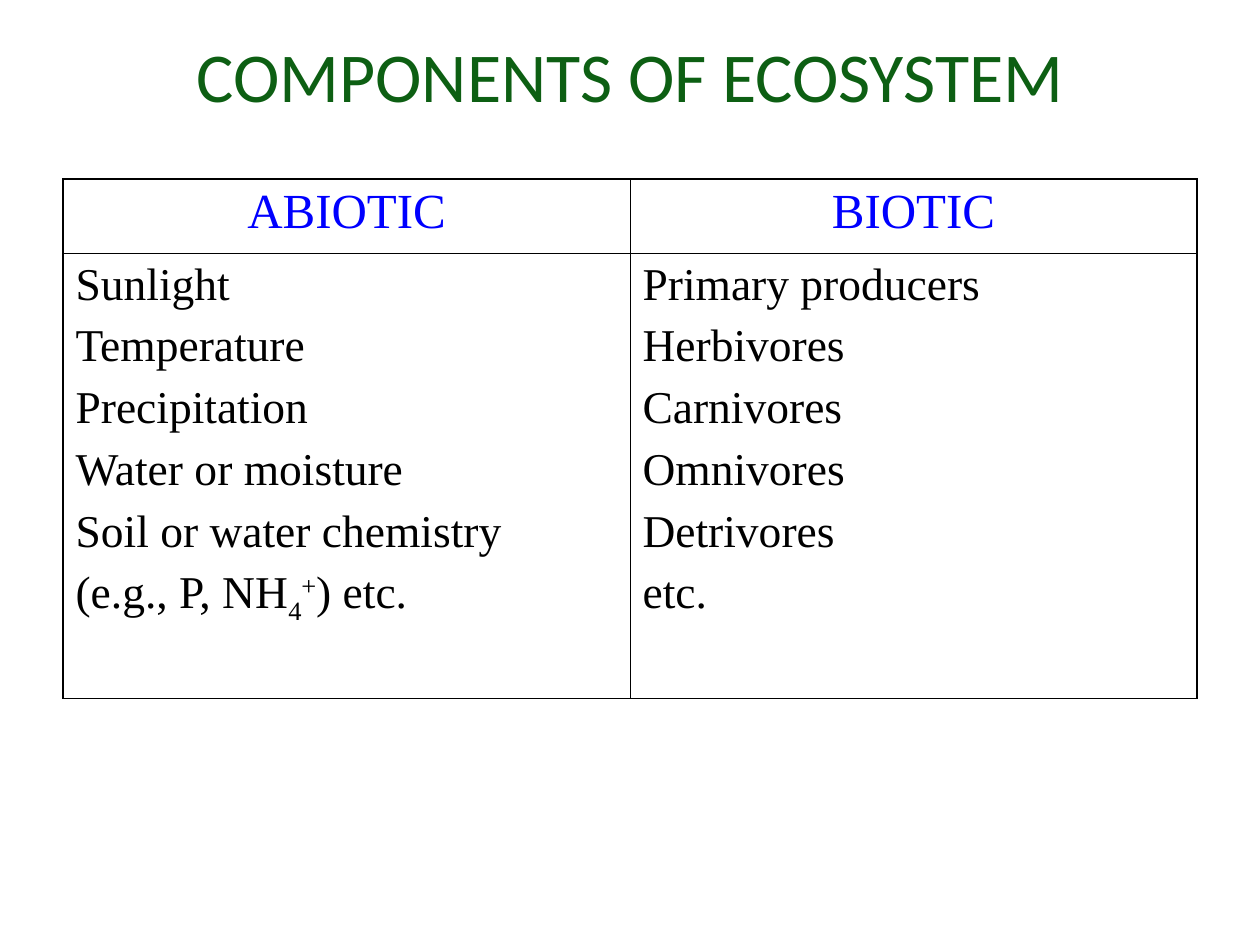
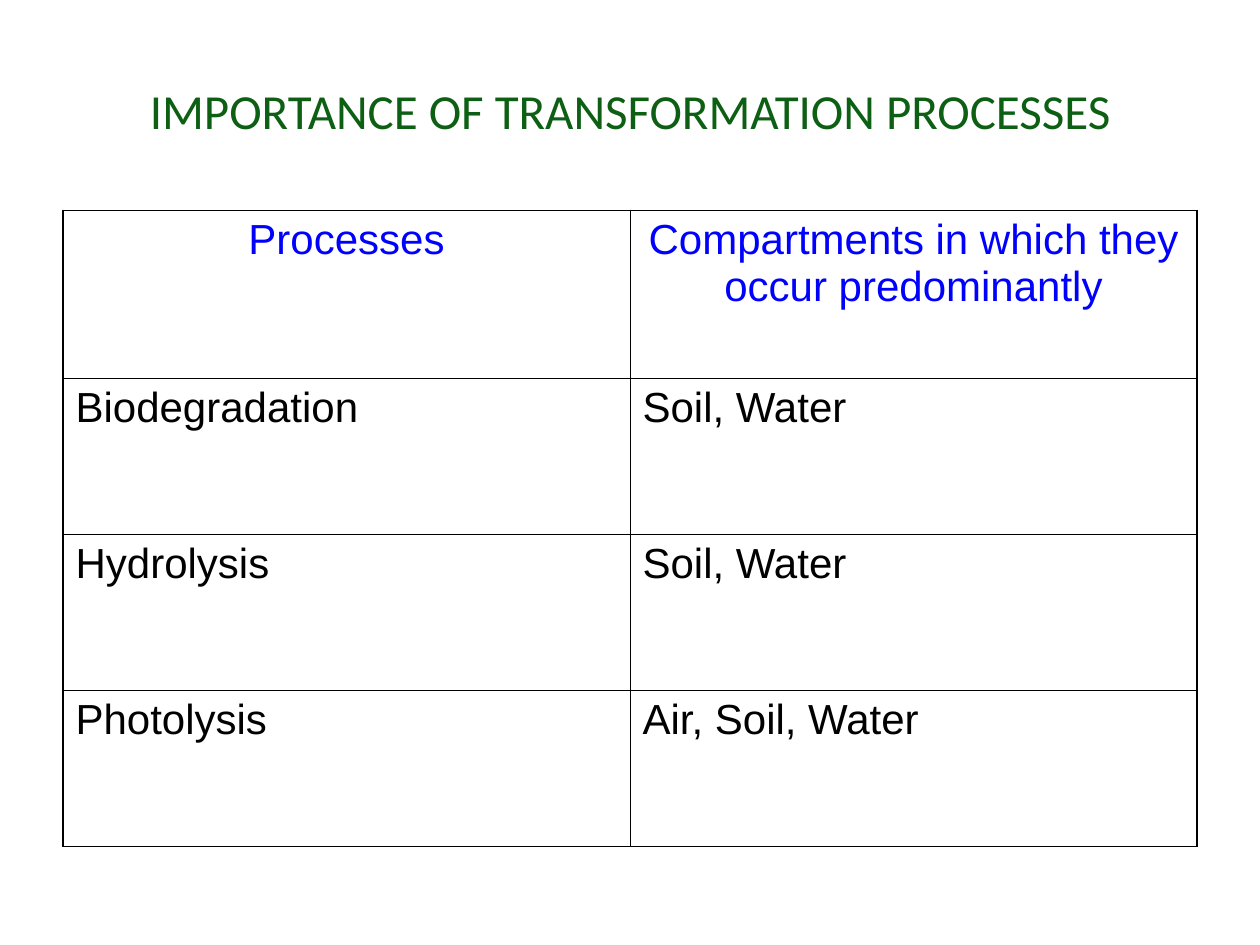
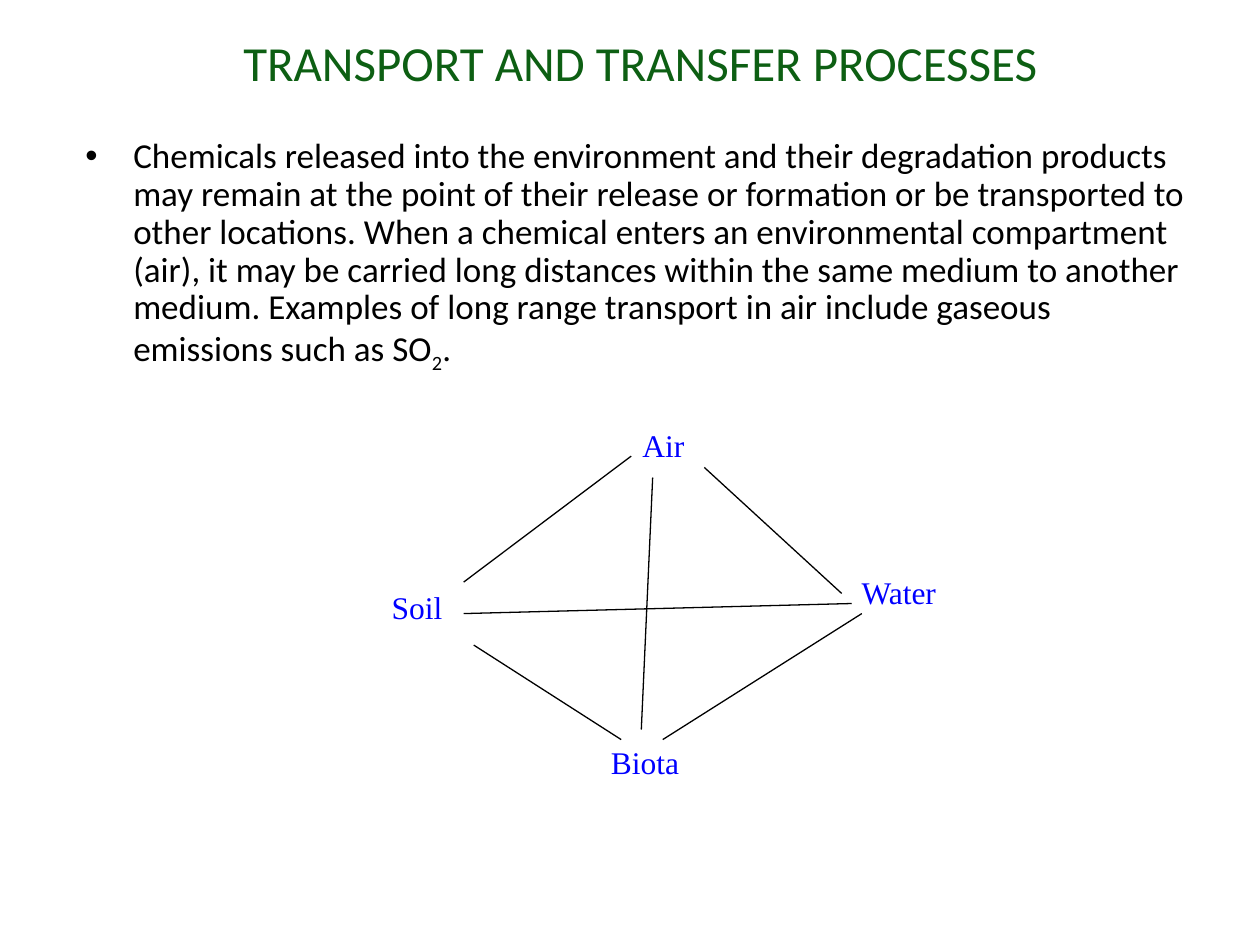
from collections import namedtuple
from dataclasses import dataclass

from lxml.etree import SubElement
from pptx import Presentation
from pptx.dml.color import RGBColor
from pptx.enum.shapes import MSO_CONNECTOR
from pptx.enum.text import MSO_ANCHOR, MSO_AUTO_SIZE, PP_ALIGN
from pptx.oxml.ns import qn
from pptx.util import Pt

SCALE = 9144
Box = namedtuple("Box", "left top width height")
Style = namedtuple("Style", "face size color")


@dataclass(frozen=True)
class Theme:
    ink: str = "000000"
    blue: str = "0000FF"
    green: str = "0D5F13"
    page: str = "FFFFFF"
    sans: str = "Calibri"
    plain: str = "Arial"
    serif: str = "Times New Roman"
    huge: int = 40
    large: int = 28
    list: int = 26
    grid: int = 24
    body: int = 20
    label: int = 18
    outer: float = 1.08
    inner: float = 0.45
    link: float = 0.75


THEME = Theme()


def px(count):
    return int(count * SCALE)


def place(shape, box):
    shape.left, shape.top, shape.width, shape.height = map(px, box)


def add_runs(para, parts, style):
    for part in [parts] if isinstance(parts, str) else parts:
        text, shift = (part, 0) if isinstance(part, str) else part
        run = para.add_run()
        run.text = text
        font = run.font
        font.name, font.size = style.face, Pt(style.size)
        font.color.rgb = RGBColor.from_string(style.color)
        if shift:
            run._r.get_or_add_rPr().set("baseline", str(shift * 1000))


def add_lines(frame, lines, style, align=PP_ALIGN.LEFT, gap=0):
    for index, parts in enumerate(lines):
        para = frame.add_paragraph() if index else frame.paragraphs[0]
        para.alignment = align
        if index:
            para.space_before = Pt(gap)
        add_runs(para, parts, style)


def add_slide(deck, title, box, size):
    slide = deck.slides.add_slide(deck.slide_layouts[5])
    fill = slide.background.fill
    fill.solid()
    fill.fore_color.rgb = RGBColor.from_string(THEME.page)
    head = slide.shapes.title
    place(head, box)
    frame = head.text_frame
    frame.vertical_anchor = MSO_ANCHOR.MIDDLE
    frame.word_wrap = True
    frame.auto_size = MSO_AUTO_SIZE.NONE
    add_lines(frame, [title], Style(THEME.sans, size, THEME.green), PP_ALIGN.CENTER)
    return slide


def set_edges(cell, **edges):
    props = cell._tc.get_or_add_tcPr()
    for side in "LRTB":
        line = SubElement(props, qn("a:ln" + side), w=str(int(Pt(edges[side]))))
        SubElement(SubElement(line, qn("a:solidFill")), qn("a:srgbClr"), val=THEME.ink)
    cell.fill.background()


def add_grid(slide, box, heights, rows, head, body, base):
    wide = len(rows[0])
    table = slide.shapes.add_table(len(rows), wide, *map(px, box)).table
    table.first_row = table.horz_banding = False
    for column in table.columns:
        column.width = px(box.width // wide)
    last = len(rows) - 1
    for y, (height, row) in enumerate(zip(heights, rows)):
        table.rows[y].height = px(height)
        for x, lines in enumerate(row):
            cell = table.cell(y, x)
            set_edges(
                cell,
                L=THEME.inner if x else THEME.outer,
                R=THEME.outer if x == wide - 1 else THEME.inner,
                T=THEME.inner if y else THEME.outer,
                B=base if y == last else THEME.inner,
            )
            style = body if y else head
            align = PP_ALIGN.LEFT if y else PP_ALIGN.CENTER
            add_lines(cell.text_frame, lines, style, align, style.size / 4)


def add_bullet(slide, box, parts):
    frame = slide.shapes.add_textbox(*map(px, box)).text_frame
    frame.word_wrap = True
    para = frame.paragraphs[0]
    props = para._p.get_or_add_pPr()
    props.set("marL", str(px(38)))
    props.set("indent", str(px(-38)))
    para.line_spacing = 0.9
    SubElement(SubElement(props, qn("a:buClr")), qn("a:srgbClr"), val=THEME.ink)
    SubElement(props, qn("a:buFont"), typeface=THEME.plain)
    SubElement(props, qn("a:buChar"), char="•")
    add_runs(para, parts, Style(THEME.sans, THEME.body, THEME.ink))


def add_web(slide, box, labels, links):
    for x1, y1, x2, y2 in links:
        line = slide.shapes.add_connector(
            MSO_CONNECTOR.STRAIGHT,
            px(box.left + x1), px(box.top + y1),
            px(box.left + x2), px(box.top + y2),
        )
        line.line.color.rgb = RGBColor.from_string(THEME.ink)
        line.line.width = Pt(THEME.link)
        SubElement(line._element.spPr, qn("a:effectLst"))
    style = Style(THEME.serif, THEME.label, THEME.blue)
    for text, x, y, width in labels:
        area = Box(box.left + x, box.top + y, width, 40)
        frame = slide.shapes.add_textbox(*map(px, area)).text_frame
        frame.word_wrap = False
        frame.auto_size = MSO_AUTO_SIZE.SHAPE_TO_FIT_TEXT
        add_lines(frame, [text], style)


def show_parts(deck):
    slide = add_slide(deck, "COMPONENTS OF ECOSYSTEM", Box(50, 17, 900, 84), THEME.huge)
    rows = [
        [["ABIOTIC"], ["BIOTIC"]],
        [
            ["Sunlight", "Temperature", "Precipitation", "Water or moisture",
             "Soil or water chemistry",
             ["(e.g., P, NH", ("4", -25), ("+", 30), ") etc."]],
            ["Primary producers", "Herbivores", "Carnivores", "Omnivores",
             "Detrivores", "etc."],
        ],
    ]
    add_grid(
        slide, Box(50, 142, 900, 412), [59, 353], rows,
        Style(THEME.serif, THEME.large, THEME.blue),
        Style(THEME.serif, THEME.list, THEME.ink),
        THEME.inner,
    )


def show_change(deck):
    slide = add_slide(
        deck, "IMPORTANCE OF TRANSFORMATION PROCESSES",
        Box(50, 25, 900, 125), THEME.large,
    )
    rows = [
        [["Processes"], ["Compartments in which they occur predominantly"]],
        [["Biodegradation"], ["Soil, Water"]],
        [["Hydrolysis"], ["Soil, Water"]],
        [["Photolysis"], ["Air, Soil, Water"]],
    ]
    add_grid(
        slide, Box(50, 167, 900, 505), [133] + [124] * 3, rows,
        Style(THEME.plain, THEME.grid, THEME.blue),
        Style(THEME.plain, THEME.grid, THEME.ink),
        THEME.outer,
    )


def show_paths(deck):
    slide = add_slide(
        deck, "TRANSPORT AND TRANSFER PROCESSES", Box(58, 8, 900, 83), THEME.large
    )
    add_bullet(slide, Box(58, 105, 900, 495), [
        "Chemicals released into the environment and their degradation products "
        "may remain at the point of their release or formation or be transported "
        "to other locations. When a chemical enters an environmental compartment "
        "(air), it may be carried long distances within the same medium to another "
        "medium. Examples of long range transport in air include gaseous emissions "
        "such as SO",
        ("2", -25),
        ".",
    ])
    labels = [
        ("Air", 199, 0, 53),
        ("Water", 373, 117, 81),
        ("Biota", 174, 252, 74),
        ("Soil", 0, 129, 76),
    ]
    links = [
        (67, 129, 200, 29),
        (258, 38, 367, 138),
        (75, 179, 192, 254),
        (225, 254, 383, 154),
        (67, 154, 375, 146),
        (217, 46, 208, 246),
    ]
    add_web(slide, Box(301, 333, 454, 292), labels, links)


def main():
    deck = Presentation()
    deck.slide_width, deck.slide_height = px(1000), px(750)
    for show in (show_parts, show_change, show_paths):
        show(deck)
    deck.save("out.pptx")


if __name__ == "__main__":
    main()
